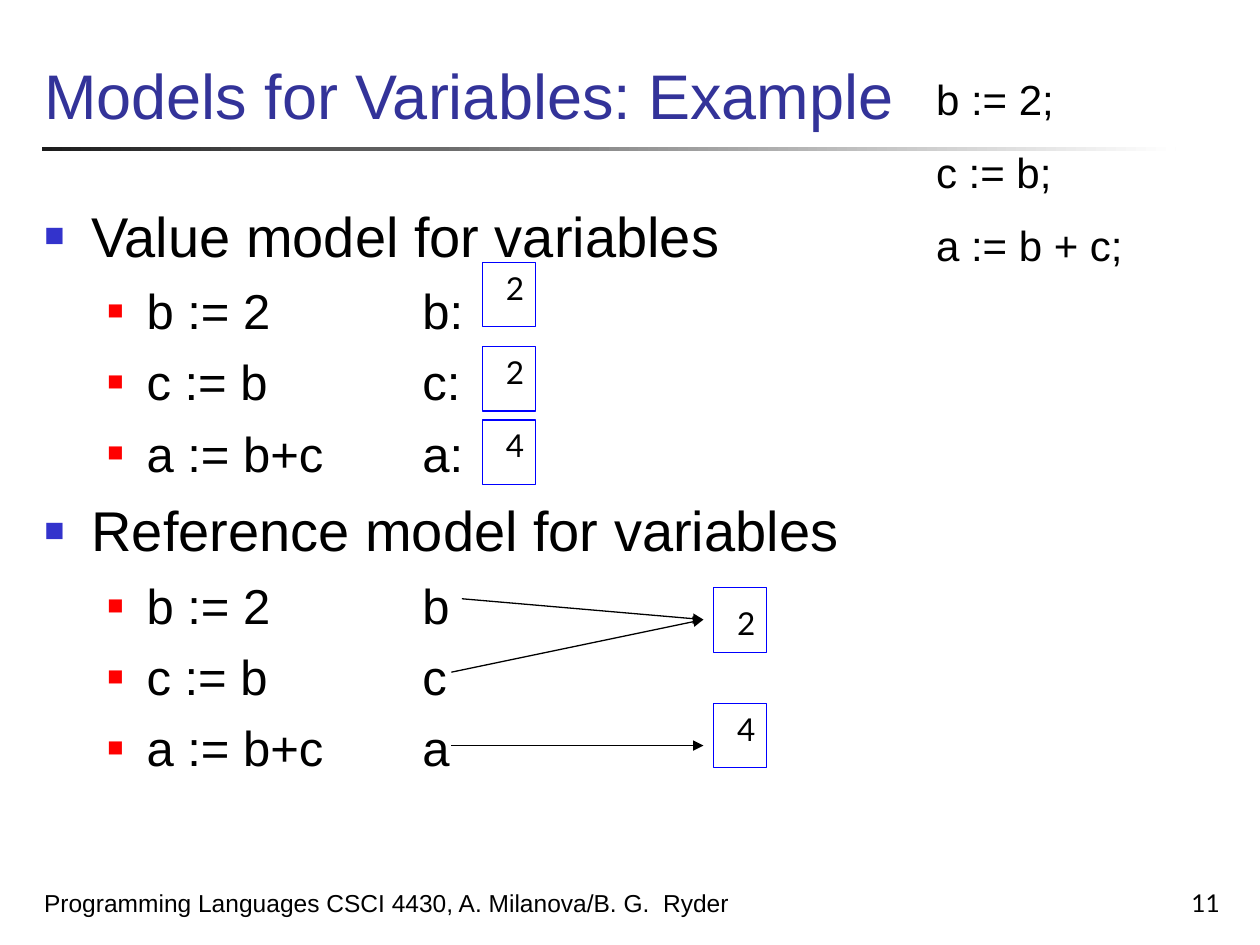
from dataclasses import dataclass

from lxml import etree
from pptx import Presentation
from pptx.dml.color import RGBColor
from pptx.enum.shapes import MSO_CONNECTOR, MSO_SHAPE
from pptx.enum.text import MSO_ANCHOR, MSO_AUTO_SIZE, PP_ALIGN
from pptx.oxml.ns import qn
from pptx.util import Cm, Pt

LEFT, RIGHT = PP_ALIGN.LEFT, PP_ALIGN.RIGHT
TOP, BOTTOM = MSO_ANCHOR.TOP, MSO_ANCHOR.BOTTOM
NO_FIT = MSO_AUTO_SIZE.NONE
RECTANGLE = MSO_SHAPE.RECTANGLE
STRAIGHT = MSO_CONNECTOR.STRAIGHT


@dataclass(frozen=True)
class Theme:
    text_font: str = "Arial"
    digit_font: str = "Lato"
    black: str = "000000"
    title: str = "333399"
    box: str = "0000FF"
    rule: tuple = ("1C1C1C", "FFFFFF")
    bullets: tuple = (("3333CC", 60), ("FF0000", 55))
    title_size: int = 36
    body_sizes: tuple = (32, 28)
    body_spaces: tuple = (8, 7)
    body_indents: tuple = ((0.95, -0.95), (2.06, -0.79))
    code_size: int = 24
    code_space: int = 13
    digit_size: int = 18
    footer_size: int = 14
    line_width: float = 0.75


def set_values(target, values):
    for name, value in values.items():
        setattr(target, name, value)


def add_element(parent, tag, **attributes):
    element = etree.SubElement(parent, qn(tag))
    for name, value in attributes.items():
        element.set(name, str(value))
    return element


class SlideBuilder:
    def __init__(self, slide, theme):
        self.slide = slide
        self.theme = theme

    def place(self, shape, left, top, width, height):
        set_values(shape, {"left": Cm(left), "top": Cm(top),
                           "width": Cm(width), "height": Cm(height)})

    def format_font(self, paragraph, size, color=None, font=None):
        set_values(paragraph.font, {"size": Pt(size), "name": font or self.theme.text_font})
        paragraph.font.color.rgb = RGBColor.from_string(color or self.theme.black)

    def title(self, text, *bounds):
        shape = self.slide.shapes.title
        self.place(shape, *bounds)
        frame = shape.text_frame
        frame.text = text
        set_values(frame, {"vertical_anchor": BOTTOM, "auto_size": NO_FIT})
        paragraph = frame.paragraphs[0]
        paragraph.alignment = LEFT
        self.format_font(paragraph, self.theme.title_size, self.theme.title)

    def bullet(self, paragraph, level):
        color, percent = self.theme.bullets[level]
        margin, indent = self.theme.body_indents[level]
        properties = paragraph._p.get_or_add_pPr()
        properties.set("marL", str(Cm(margin)))
        properties.set("indent", str(Cm(indent)))
        add_element(add_element(properties, "a:buClr"), "a:srgbClr", val=color)
        add_element(properties, "a:buSzPct", val=percent * 1000)
        add_element(properties, "a:buFont", typeface=self.theme.text_font)
        add_element(properties, "a:buChar", char="■")
        if level:
            add_element(add_element(properties, "a:tabLst"), "a:tab", pos=Cm(7.62), algn="l")

    def body(self, items, *bounds):
        shape = self.slide.placeholders[1]
        self.place(shape, *bounds)
        frame = shape.text_frame
        set_values(frame, {"vertical_anchor": TOP, "auto_size": NO_FIT, "margin_top": Cm(0.25)})
        for index, (level, text) in enumerate(items):
            paragraph = frame.add_paragraph() if index else frame.paragraphs[0]
            self.bullet(paragraph, level)
            space = self.theme.body_spaces[level] if index else 0
            set_values(paragraph, {"text": text, "level": level, "space_before": Pt(space)})
            self.format_font(paragraph, self.theme.body_sizes[level])

    def text(self, lines, bounds, size, font=None, wrap=True, anchor=TOP,
             alignment=LEFT, space=0):
        frame = self.slide.shapes.add_textbox(*map(Cm, bounds)).text_frame
        set_values(frame, {"word_wrap": wrap, "vertical_anchor": anchor})
        for index, line in enumerate(lines):
            paragraph = frame.add_paragraph() if index else frame.paragraphs[0]
            set_values(paragraph, {"text": line, "alignment": alignment,
                                   "space_before": Pt(space if index else 0)})
            self.format_font(paragraph, size, font=font)

    def rule(self, *bounds):
        shape = self.slide.shapes.add_shape(RECTANGLE, *map(Cm, bounds))
        shape.shadow.inherit = False
        shape.line.fill.background()
        shape.fill.gradient()
        shape.fill.gradient_angle = 0
        for stop, color in zip(shape.fill.gradient_stops, self.theme.rule):
            stop.color.rgb = RGBColor.from_string(color)

    def value_box(self, value, left, top, drop=0):
        shape = self.slide.shapes.add_shape(RECTANGLE, Cm(left), Cm(top), Cm(1.07), Cm(1.3))
        shape.shadow.inherit = False
        shape.fill.background()
        shape.line.color.rgb = RGBColor.from_string(self.theme.box)
        shape.line.width = Pt(self.theme.line_width)
        self.text([value], (left + 0.22, top + drop, 0.86, 1.02),
                  self.theme.digit_size, self.theme.digit_font, wrap=False)

    def arrow(self, start, end):
        connector = self.slide.shapes.add_connector(STRAIGHT, *map(Cm, start + end))
        connector.line.color.rgb = RGBColor.from_string(self.theme.black)
        connector.line.width = Pt(self.theme.line_width)
        add_element(connector.line._get_or_add_ln(), "a:tailEnd", type="triangle")
        add_element(connector._element.spPr, "a:effectLst")


def main():
    theme = Theme()
    presentation = Presentation()
    set_values(presentation, {"slide_width": Cm(25.4), "slide_height": Cm(19.05)})
    slide = presentation.slides.add_slide(presentation.slide_layouts[1])
    builder = SlideBuilder(slide, theme)

    builder.rule(0.84, 2.97, 22.86, 0.08)
    builder.text(["Programming Languages CSCI 4430, A. Milanova/B. G.  Ryder"],
                 (0.64, 17.35, 14.83, 1.27), theme.footer_size, anchor=BOTTOM)
    builder.text(["11"], (19.56, 17.35, 5.28, 1.27), theme.footer_size,
                 theme.digit_font, anchor=BOTTOM, alignment=RIGHT)
    builder.title("Models for Variables: Example", 0.64, 0, 24.18, 2.79)

    statements = (("b := 2", "b"), ("c := b", "c"), ("a := b+c", "a"))
    items = []
    for model, suffix in (("Value", ":"), ("Reference", "")):
        items.append((0, f"{model} model for variables"))
        items += [(1, f"{code}\t{name}{suffix}") for code, name in statements]
    builder.body(items, 0.64, 3.81, 24.23, 13.34)

    builder.text(["b := 2;", "c := b;", "a := b + c;"], (18.62, 1.36, 6.78, 4.28),
                 theme.code_size, space=theme.code_space)

    for value, top in (("2", 5.29), ("2", 6.99), ("4", 8.47)):
        builder.value_box(value, 9.73, top)
    builder.value_box("2", 14.39, 11.85, drop=0.21)
    builder.value_box("4", 14.39, 14.18)

    for start, end_top in (((9.31, 12.07), 12.49), ((9.1, 13.55), 12.49), ((9.1, 15.03), 15.03)):
        builder.arrow(start, (14.18, end_top))

    presentation.save("out.pptx")


if __name__ == "__main__":
    main()
